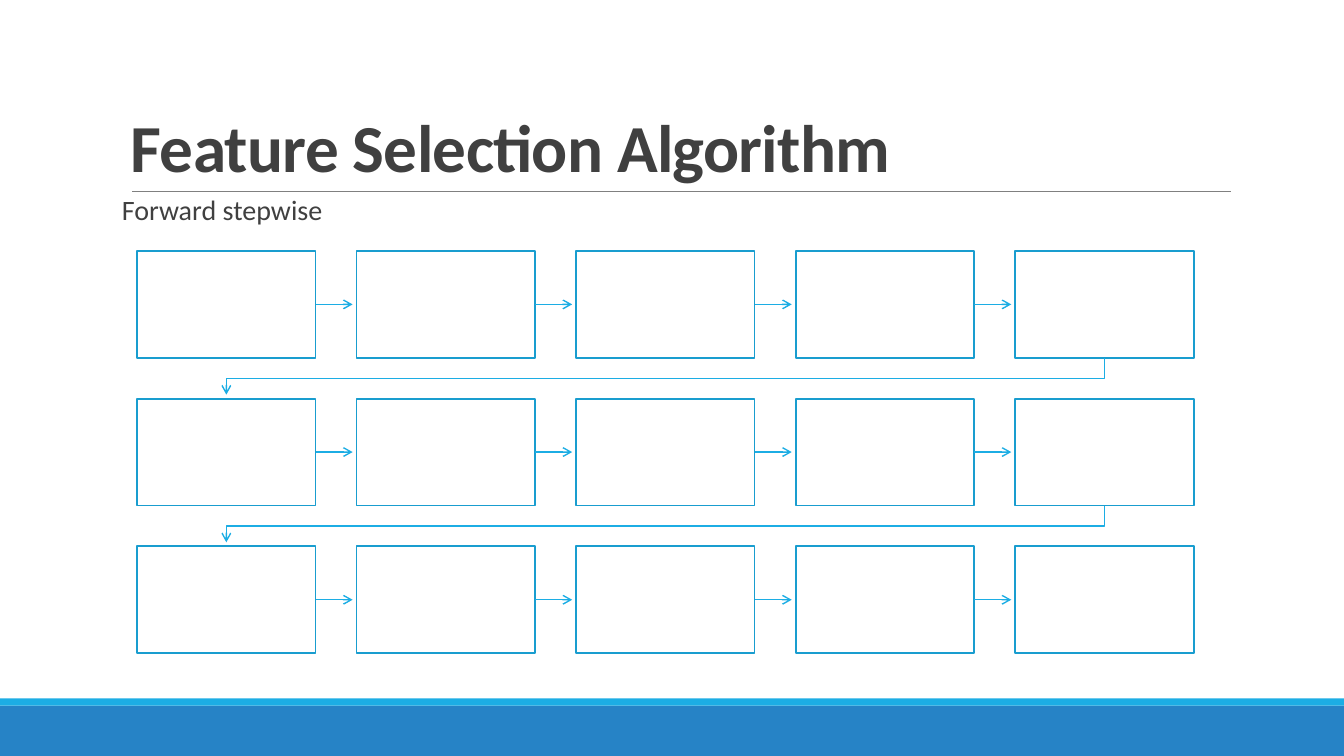
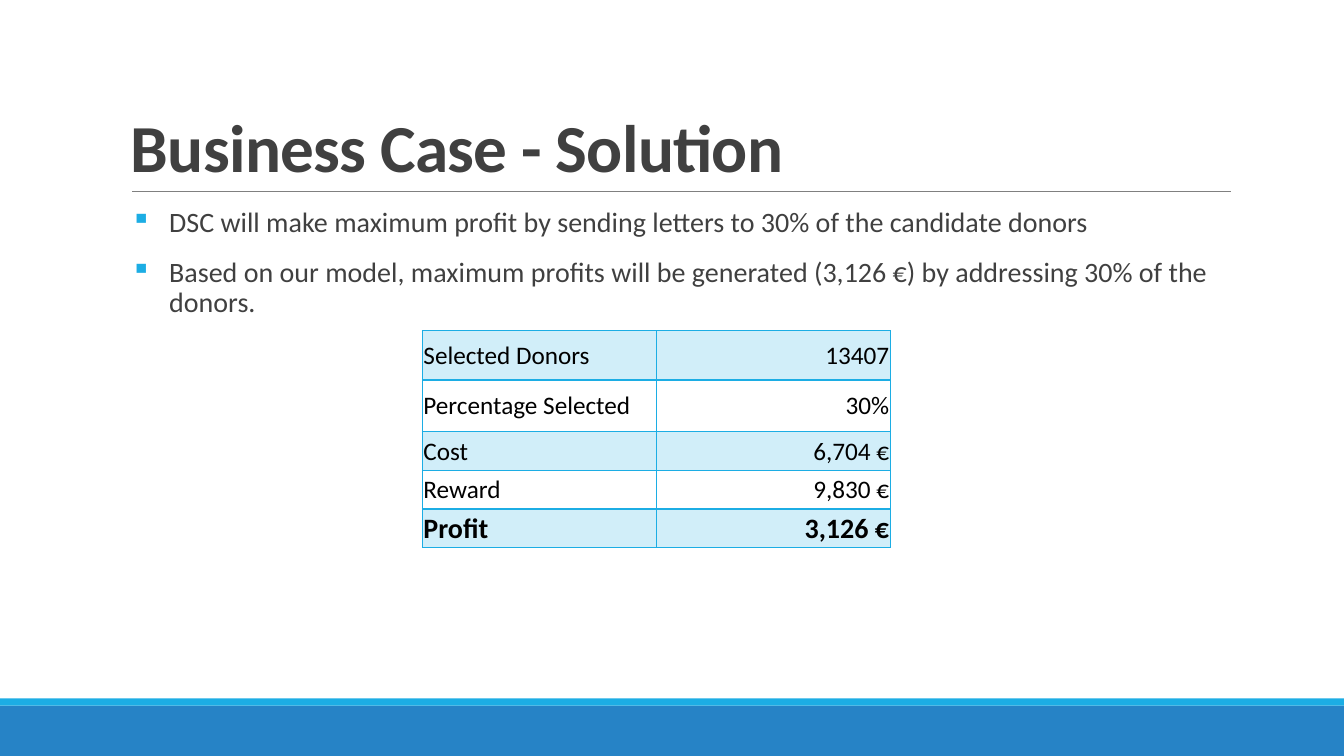
from dataclasses import dataclass
from lxml.etree import SubElement
from pptx import Presentation
from pptx.dml.color import RGBColor
from pptx.enum.shapes import MSO_CONNECTOR, MSO_SHAPE
from pptx.enum.text import MSO_ANCHOR, PP_ALIGN
from pptx.oxml.ns import qn
from pptx.util import Inches, Pt

# Content
STEPWISE_TITLE = "Feature Selection Algorithm"
STEPWISE_TEXT = ["Forward stepwise\u00a0"]
STEP_ROWS, STEP_COLUMNS = 3, 5
CASE_TITLE = "Business Case - Solution"
CASE_TEXT = [
    "DSC will make maximum profit by sending letters to 30% of the candidate donors\u00a0",
    "Based on our model, maximum profits will be generated (3,126\u00a0€) "
    "by addressing 30% of the donors.",
]
# label, value, row height
CASE_ROWS = [
    ("Selected Donors", "13407", 0.49),
    ("Percentage Selected\u00a0", "30%", 0.51),
    ("Cost", "6,704\u00a0€", 0.39),
    ("Reward", "9,830\u00a0€", 0.38),
    ("Profit", "3,126\u00a0€", 0.38),
]


@dataclass(frozen=True)
class Theme:
    font: str = "Calibri"
    text: str = "404040"
    table_text: str = "000000"
    accent: str = "1CADE4"
    band: str = "2683C6"
    rule: str = "808080"
    box_line: str = "199DCF"
    box_fill: str = "FFFFFF"
    title_size: int = 48
    body_size: int = 20
    table_size: int = 18


THEME = Theme()
WIDTH, HEIGHT = 13.33, 7.5

deck = Presentation()
deck.slide_width, deck.slide_height = Inches(WIDTH), Inches(HEIGHT)


# Shared helpers
def rgb(code):
    return RGBColor.from_string(code)


def add_run(paragraph, words, size, color, bold=False):
    run = paragraph.add_run()
    run.text = words
    run.font.name, run.font.size, run.font.bold = THEME.font, Pt(size), bold
    run.font.color.rgb = rgb(color)
    return run


def add_frame(slide, left, top, width, height, anchor=MSO_ANCHOR.TOP):
    frame = slide.shapes.add_textbox(*map(Inches, (left, top, width, height))).text_frame
    frame.word_wrap, frame.vertical_anchor = True, anchor
    return frame


def add_rect(slide, left, top, width, height, fill, outline=None):
    rect = slide.shapes.add_shape(
        MSO_SHAPE.RECTANGLE, *map(Inches, (left, top, width, height)))
    rect.shadow.inherit = False
    rect.fill.solid()
    rect.fill.fore_color.rgb = rgb(fill)
    if outline:
        rect.line.color.rgb, rect.line.width = rgb(outline), Pt(1.25)
    else:
        rect.line.fill.background()


def style_line(line_shape, color, width, arrow=False):
    line_shape.line.color.rgb, line_shape.line.width = rgb(color), Pt(width)
    if arrow:
        SubElement(line_shape.line._get_or_add_ln(), qn("a:tailEnd"), type="arrow")


def add_straight(slide, start, end, color, width, arrow=False):
    straight = slide.shapes.add_connector(
        MSO_CONNECTOR.STRAIGHT, *map(Inches, (*start, *end)))
    style_line(straight, color, width, arrow)
    SubElement(straight._element.spPr, qn("a:effectLst"))


def add_elbow(slide, points):
    corners = [(Inches(x), Inches(y)) for x, y in points]
    builder = slide.shapes.build_freeform(*corners[0])
    builder.add_line_segments(corners[1:], close=False)
    elbow = builder.convert_to_shape()
    elbow.shadow.inherit = False
    elbow.fill.background()
    style_line(elbow, THEME.accent, 1, arrow=True)


def start_slide(title):
    slide = deck.slides.add_slide(deck.slide_layouts[6])
    add_rect(slide, 0, 7, WIDTH, 0.5, THEME.band)
    add_rect(slide, 0, 6.93, WIDTH, 0.07, THEME.accent)
    add_straight(slide, (1.31, 1.9), (12.21, 1.9), THEME.rule, 0.5)
    heading = add_frame(slide, 1.2, 0.31, 11, 1.59, MSO_ANCHOR.BOTTOM).paragraphs[0]
    heading.line_spacing = 0.85
    run = add_run(heading, title, THEME.title_size, THEME.text, bold=True)
    run.font._element.set("spc", "-50")
    return slide


def add_body(slide, left, top, lines, indent, bullet=None):
    frame = add_frame(slide, left, top, 11, 4.4)
    for number, words in enumerate(lines):
        paragraph = frame.add_paragraph() if number else frame.paragraphs[0]
        paragraph.line_spacing = 0.9
        paragraph.space_before, paragraph.space_after = Pt(12), Pt(2)
        properties = paragraph._p.get_or_add_pPr()
        properties.set("marL", str(Inches(indent)))
        if bullet:
            properties.set("indent", str(-Inches(indent)))
            bullet_color = SubElement(properties, qn("a:buClr"))
            SubElement(bullet_color, qn("a:srgbClr"), val=THEME.accent)
            SubElement(properties, qn("a:buChar"), char=bullet)
        add_run(paragraph, words, THEME.body_size, THEME.text)


def style_cell(cell, shaded):
    cell.vertical_anchor = MSO_ANCHOR.MIDDLE
    cell.margin_left = cell.margin_right = cell.margin_top = Inches(0.01)
    cell.margin_bottom = 0
    properties = cell._tc.get_or_add_tcPr()
    for side in ("lnL", "lnR", "lnT", "lnB"):
        border = SubElement(properties, qn(f"a:{side}"), w=str(Pt(1)))
        border_fill = SubElement(border, qn("a:solidFill"))
        SubElement(border_fill, qn("a:srgbClr"), val=THEME.accent)
    if shaded:
        cell.fill.solid()
        cell.fill.fore_color.rgb = rgb(THEME.accent)
        shade = properties.find(qn("a:solidFill")).find(qn("a:srgbClr"))
        SubElement(shade, qn("a:alpha"), val="20000")
    else:
        cell.fill.background()


# Slide 1: rows of steps, each row leading into the next
stepwise = start_slide(STEPWISE_TITLE)
add_body(stepwise, 1.01, 1.9, STEPWISE_TEXT, 0.1)
GRID_LEFT, GRID_TOP, GRID_RIGHT, GRID_BOTTOM = 1.36, 2.49, 11.84, 6.48
STEP_W, STEP_H, TIP_GAP = 1.77, 1.06, 0.04
pitch_x = (GRID_RIGHT - GRID_LEFT - STEP_W) / (STEP_COLUMNS - 1)
pitch_y = (GRID_BOTTOM - GRID_TOP - STEP_H) / (STEP_ROWS - 1)
first_center, last_center = GRID_LEFT + STEP_W / 2, GRID_RIGHT - STEP_W / 2

for row in range(STEP_ROWS):
    top = GRID_TOP + row * pitch_y
    middle, bottom, next_top = top + STEP_H / 2, top + STEP_H, top + pitch_y
    for column in range(STEP_COLUMNS):
        left = GRID_LEFT + column * pitch_x
        add_rect(stepwise, left, top, STEP_W, STEP_H, THEME.box_fill, THEME.box_line)
        if column < STEP_COLUMNS - 1:
            add_straight(stepwise, (left + STEP_W, middle),
                         (left + pitch_x - TIP_GAP, middle), THEME.accent, 1, arrow=True)
    if row < STEP_ROWS - 1:
        turn = (bottom + next_top) / 2
        add_elbow(stepwise, [(last_center, bottom), (last_center, turn),
                             (first_center, turn), (first_center, next_top - TIP_GAP)])

# Slide 2: findings and profit table
case = start_slide(CASE_TITLE)
add_body(case, 1.2, 2.02, CASE_TEXT, 0.38, "▪")
table_height = sum(height for _, _, height in CASE_ROWS)
profit_table = case.shapes.add_table(
    len(CASE_ROWS), 2, *map(Inches, (4.19, 3.28, 4.64, table_height))).table
profit_table.first_row = profit_table.horz_banding = False
for row, (label, value, height) in enumerate(CASE_ROWS):
    profit_table.rows[row].height = Inches(height)
    is_total = row == len(CASE_ROWS) - 1
    size = THEME.body_size if is_total else THEME.table_size
    for column, (words, align) in enumerate(
            [(label, PP_ALIGN.LEFT), (value, PP_ALIGN.RIGHT)]):
        cell = profit_table.cell(row, column)
        style_cell(cell, shaded=row % 2 == 0)
        paragraph = cell.text_frame.paragraphs[0]
        paragraph.alignment = align
        add_run(paragraph, words, size, THEME.table_text, is_total)

deck.save("out.pptx")
